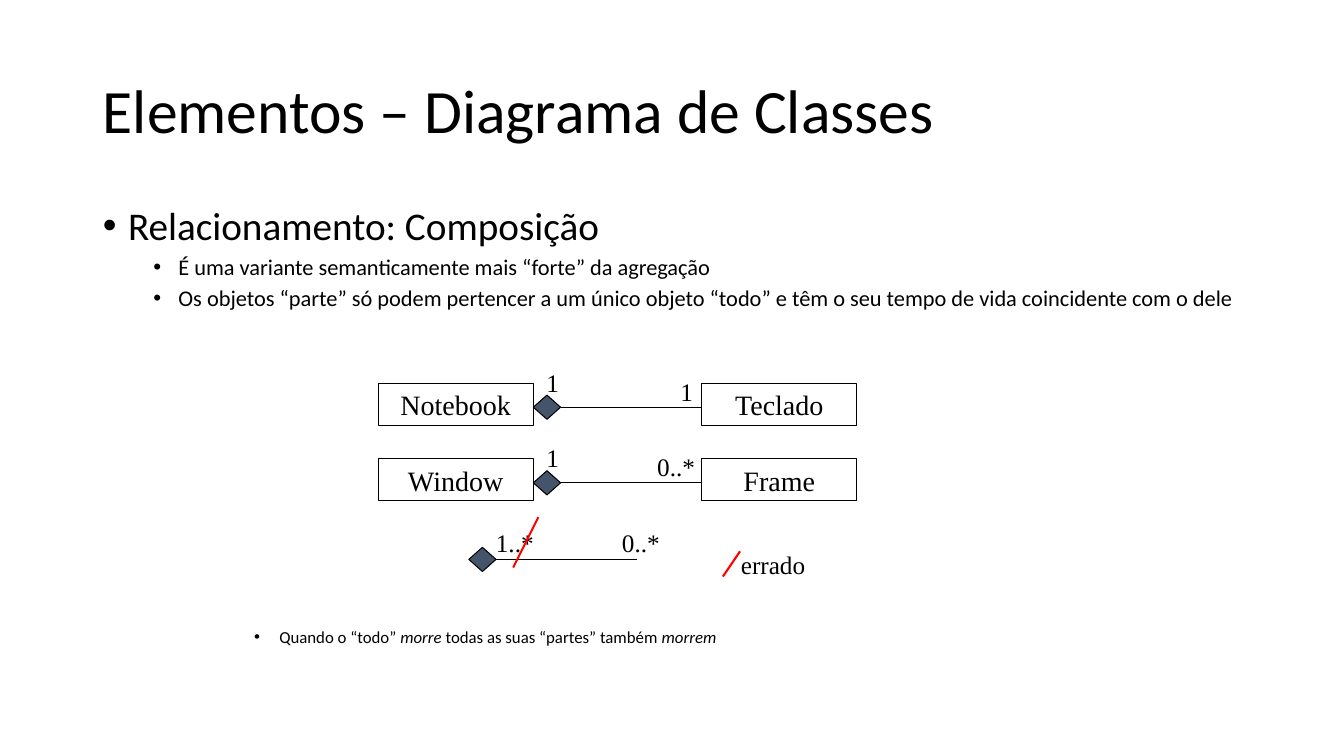
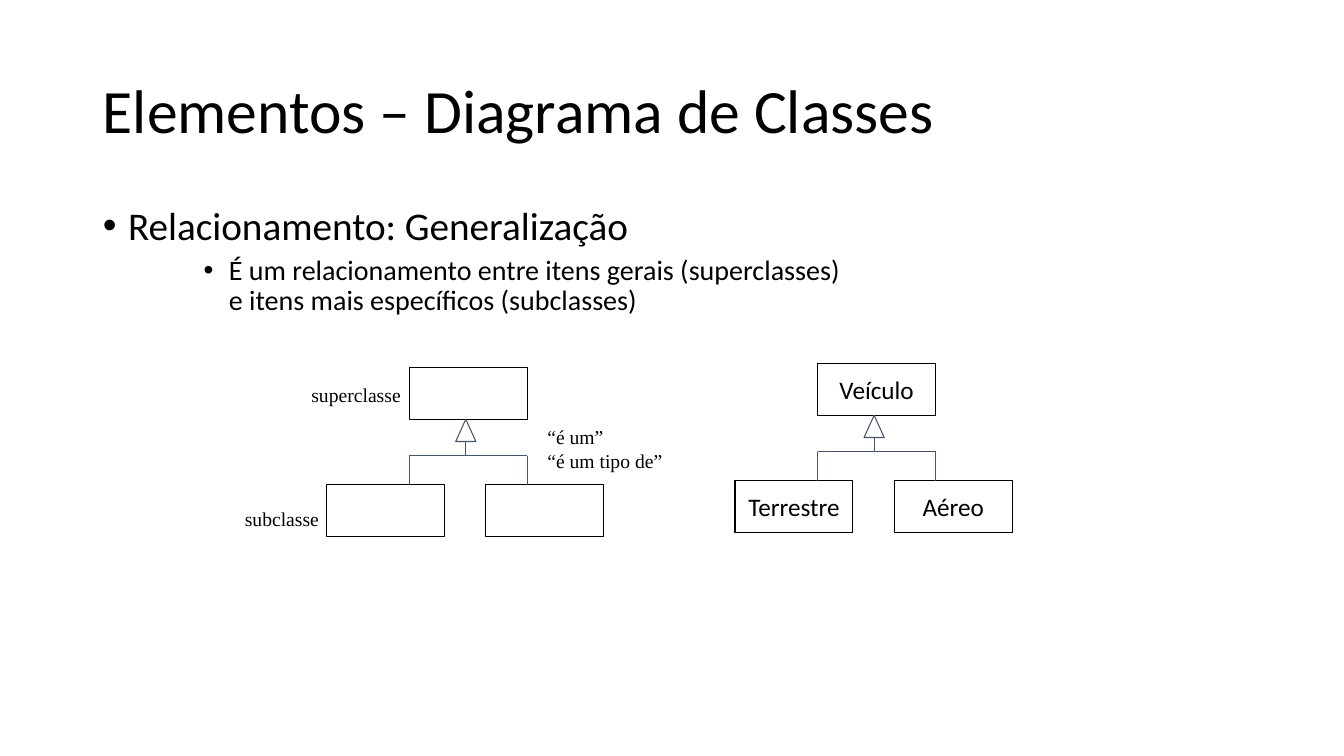
from lxml import etree
from pptx import Presentation
from pptx.dml.color import RGBColor
from pptx.enum.shapes import MSO_CONNECTOR, MSO_SHAPE
from pptx.enum.text import MSO_ANCHOR, MSO_AUTO_SIZE, PP_ALIGN
from pptx.oxml.ns import qn
from pptx.util import Pt

PX = 9144  # 100 px to the inch
COLORS = {"ink": "000000", "slate": "44546A", "wrong": "FF0000"}
SANS, SERIF = "Calibri", "Times New Roman"
STRAIGHT = MSO_CONNECTOR.STRAIGHT
RECTANGLE, DIAMOND = MSO_SHAPE.RECTANGLE, MSO_SHAPE.DIAMOND
TRIANGLE = MSO_SHAPE.ISOSCELES_TRIANGLE
MIDDLE, TOP = MSO_ANCHOR.MIDDLE, MSO_ANCHOR.TOP
LEFT, CENTER = PP_ALIGN.LEFT, PP_ALIGN.CENTER
NO_FIT = MSO_AUTO_SIZE.NONE

TITLE = "Elementos – Diagrama de Classes"
TITLE_BOX = (92, 40, 1150, 145)
BODY_BOX = (92, 200, 1150, 476)
CLASS_WIDTH, CLASS_HEIGHT = 154, 42
DIAMOND_WIDTH, DIAMOND_HEIGHT = 27, 24
LINK_LENGTH = 140
NODE_WIDTH, NODE_HEIGHT = 117, 51


def emu(*lengths):
    return [length * PX for length in lengths]


def color(name):
    return RGBColor.from_string(COLORS[name])


def style_span(span, size, face):
    span.font.size = Pt(size)
    span.font.name = face
    span.font.color.rgb = color("ink")


def fill_frame(frame, text, size, face, align=LEFT, anchor=TOP):
    frame.text = text
    frame.auto_size = NO_FIT
    frame.vertical_anchor = anchor
    for para in frame.paragraphs:
        para.alignment = align
        for span in para.runs:
            style_span(span, size, face)


def add_line(page, start, end, line="ink", width=0.75):
    connector = page.shapes.add_connector(STRAIGHT, *emu(*start, *end))
    connector.line.color.rgb = color(line)
    connector.line.width = Pt(width)
    etree.SubElement(connector._element.spPr, qn("a:effectLst"))


def add_figure(page, kind, box, line="ink", fill=None):
    shape = page.shapes.add_shape(kind, *emu(*box))
    shape.shadow.inherit = False
    shape.line.color.rgb = color(line)
    shape.line.width = Pt(0.75)
    if fill:
        shape.fill.solid()
        shape.fill.fore_color.rgb = color(fill)
    else:
        shape.fill.background()
    return shape


def add_class(page, box, name, size, face):
    shape = add_figure(page, RECTANGLE, box)
    if name:
        fill_frame(shape.text_frame, name, size, face, CENTER, MIDDLE)
        shape.text_frame.word_wrap = False


def add_label(page, text, box, size=18):
    frame = page.shapes.add_textbox(*emu(*box)).text_frame
    fill_frame(frame, text, size, SERIF)
    frame.word_wrap = False


def add_bullet(para, level, size, space, parts):
    """Parts alternate between plain and italic text."""
    para.level = level
    para.alignment = LEFT
    para.line_spacing = 0.9
    para.space_before = Pt(space)
    properties = para._p.get_or_add_pPr()
    properties.set("marL", str((25 + 50 * level) * PX))
    properties.set("indent", str(-25 * PX))
    etree.SubElement(properties, qn("a:buChar"), char="•")
    for index, part in enumerate(parts):
        for row, text in enumerate(part.split("\n")):
            if row:
                para.add_line_break()
            span = para.add_run()
            span.text = text
            style_span(span, size, SANS)
            span.font.italic = index % 2 == 1
    for line_break in para._p.findall(qn("a:br")):
        etree.SubElement(line_break, qn("a:rPr"), sz=str(size * 100))


def place(holder, box):
    holder.left, holder.top, holder.width, holder.height = emu(*box)


def add_page(deck, bullets):
    page = deck.slides.add_slide(deck.slide_layouts[1])
    title, body = page.placeholders
    place(title, TITLE_BOX)
    fill_frame(title.text_frame, TITLE, 44, SANS, LEFT, MIDDLE)
    title.text_frame.paragraphs[0].line_spacing = 0.9
    place(body, BODY_BOX)
    frame = body.text_frame
    frame.auto_size = NO_FIT
    for index, bullet in enumerate(bullets):
        para = frame.add_paragraph() if index else frame.paragraphs[0]
        add_bullet(para, *bullet)
    return page


def add_composition(page, left, axis, labels):
    """Diamond and link from left along axis; labels are offset from there."""
    right = left + DIAMOND_WIDTH
    add_line(page, (right, axis), (right + LINK_LENGTH, axis))
    diamond = (left, axis - DIAMOND_HEIGHT // 2, DIAMOND_WIDTH, DIAMOND_HEIGHT)
    add_figure(page, DIAMOND, diamond, fill="slate")
    for text, across, up, width in labels:
        add_label(page, text, (left + across, axis - up, width, 40))


def add_class_pair(page, left, top, names, labels):
    whole_right = left + CLASS_WIDTH
    part_left = whole_right + DIAMOND_WIDTH + LINK_LENGTH
    for name, edge in zip(names, (left, part_left)):
        add_class(page, (edge, top, CLASS_WIDTH, CLASS_HEIGHT), name, 20, SERIF)
    add_composition(page, whole_right, top + 24, labels)


def add_generalization(page, left, top, names=("", "", "")):
    right, bar, child_top = left + NODE_WIDTH, top + 87, top + 116
    corners = ((left, top), (left - 82, child_top), (left + 76, child_top))
    for name, corner in zip(names, corners):
        add_class(page, (*corner, NODE_WIDTH, NODE_HEIGHT), name, 18, SANS)
    add_line(page, (left, bar), (right, bar), "slate")
    for edge in (left, right):
        add_line(page, (edge, bar), (edge, child_top), "slate")
    add_figure(page, TRIANGLE, (left + 46, top + NODE_HEIGHT, 20, 22), "slate")
    add_line(page, (left + 56, top + 73), (left + 56, bar), "slate")


def build_composition_page(deck):
    page = add_page(deck, [
        (0, 28, 0, ["Relacionamento: Composição"]),
        (1, 16, 5, ["É uma variante semanticamente mais “forte” da agregação"]),
        (1, 16, 5, ["Os objetos “parte” só podem pertencer a um único objeto "
                    "“todo” e têm o seu tempo de vida coincidente com o dele"]),
        (3, 12, 227, ["Quando o “todo” ", "morre",
                      " todas as suas “partes” também ", "morrem"]),
    ])
    add_class_pair(page, 375, 380, ("Notebook", "Teclado"),
                   [("1", 3, 45, 33), ("1", 136, 36, 33)])
    add_class_pair(page, 375, 455, ("Window", "Frame"),
                   [("1", 3, 45, 33), ("0..*", 113, 36, 58)])
    add_composition(page, 465, 555,
                    [("1..*", 17, 37, 58), ("0..*", 142, 37, 58)])
    add_line(page, (509, 563), (534, 513), "wrong", 1.5)
    add_line(page, (717, 572), (734, 547), "wrong", 1.5)
    add_label(page, "errado", (725, 540, 84, 40))


def build_generalization_page(deck):
    page = add_page(deck, [
        (0, 28, 0, ["Relacionamento: Generalização"]),
        (2, 20, 5, ["É um relacionamento entre itens gerais (superclasses)\n"
                    "e itens mais específicos (subclasses)"]),
    ])
    add_generalization(page, 406, 365)
    add_label(page, "“é um”\n“é um tipo de”", (533, 417, 135, 57), 14)
    add_label(page, "superclasse", (299, 375, 110, 34), 14)
    add_label(page, "subclasse", (233, 498, 97, 33), 14)
    add_generalization(page, 811, 361, ("Veículo", "Terrestre", "Aéreo"))


def main():
    deck = Presentation()
    deck.slide_width, deck.slide_height = emu(1333, 750)
    build_composition_page(deck)
    build_generalization_page(deck)
    deck.save("out.pptx")


if __name__ == "__main__":
    main()
